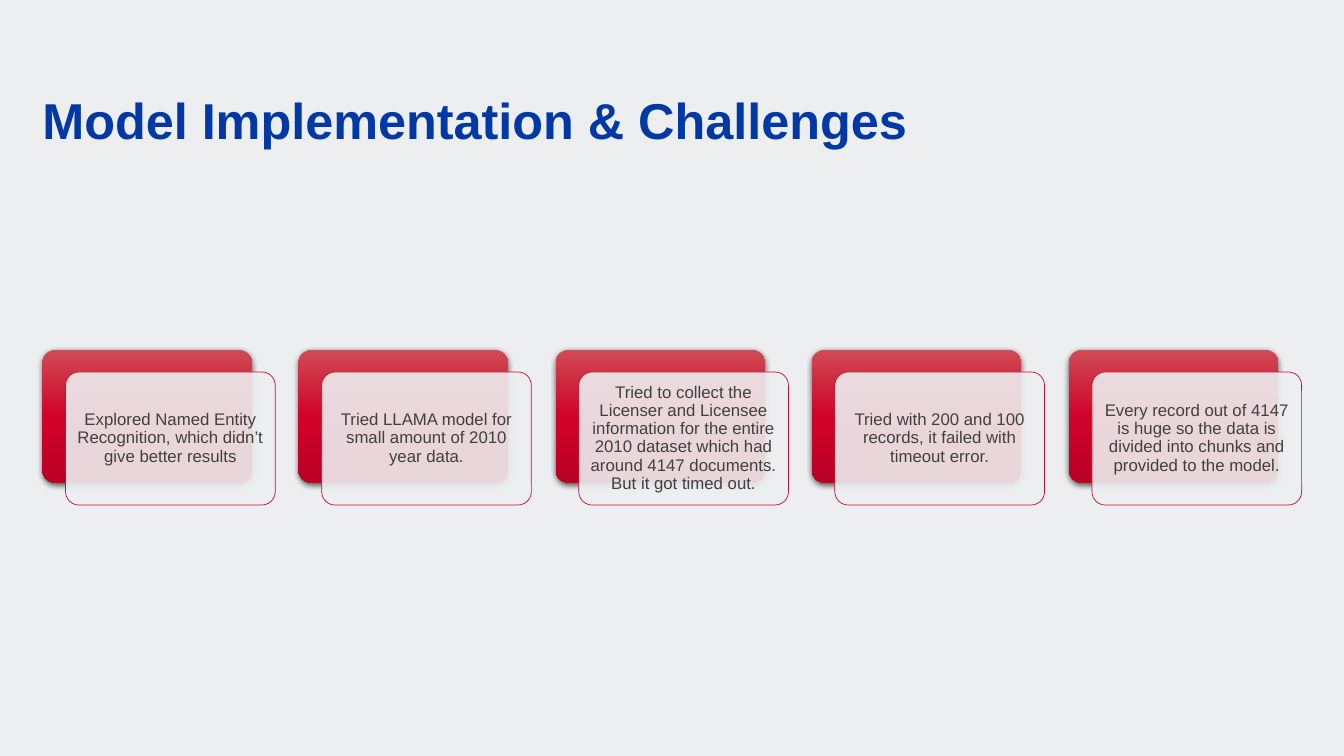
"""Build the slide on model implementation and its challenges."""
from dataclasses import dataclass

from lxml import etree
from pptx import Presentation
from pptx.dml.color import RGBColor
from pptx.enum import shapes, text
from pptx.oxml import ns
from pptx.util import Emu, Pt

PX = 9144


@dataclass(frozen=True)
class Theme:
    font: str = "Arial"
    paper: str = "EDEEEF"
    title: str = "0039A6"
    body: str = "404041"
    edge: str = "C60C30"
    shade: str = "000000"
    blend: tuple[tuple[int, str], ...] = (
        (0, "D04B55"), (50, "CF032A"), (100, "BB0024"))
    head_size: int = 36
    body_size: int = 12


@dataclass(frozen=True)
class Box:
    left: int
    top: int
    width: int
    height: int

    def shift(self, dx: int) -> "Box":
        return Box(self.left + dx, self.top, self.width, self.height)

    def emu(self) -> tuple[Emu, ...]:
        sides = (self.left, self.top, self.width, self.height)
        return tuple(Emu(side * PX) for side in sides)


THEME = Theme()
TITLE = Box(42, 94, 1250, 55)
BACK = Box(42, 347, 208, 132)
FRONT = Box(65, 369, 208, 132)
LABEL = Box(69, 373, 200, 124)
SPAN = 1018
NOTES = (
    "Explored Named Entity Recognition, which didn’t give better results",
    "Tried LLAMA model for small amount of 2010 year data.",
    "Tried to collect the Licenser and Licensee information for the entire "
    "2010 dataset which had around 4147 documents. But it got timed out.",
    "Tried with 200 and 100 records, it failed with timeout error.",
    "Every record out of 4147 is huge so the data is divided into chunks "
    "and provided to the model.",
)


def rgb(code: str) -> RGBColor:
    return RGBColor.from_string(code)


def add_tag(root, name: str, **attrs):
    return etree.SubElement(
        root, ns.qn(name), {key: str(val) for key, val in attrs.items()})


def write(frame, words: str, size: int, color: str, inset: int,
          anchor, align, bold: bool = False):
    frame.word_wrap = True
    frame.auto_size = text.MSO_AUTO_SIZE.NONE
    frame.vertical_anchor = anchor
    frame.margin_left = frame.margin_right = Emu(inset * PX)
    frame.margin_top = frame.margin_bottom = Emu(inset * PX)
    para = frame.paragraphs[0]
    para.alignment = align
    para.line_spacing = 0.9
    run = para.add_run()
    run.text = words
    run.font.name = THEME.font
    run.font.size = Pt(size)
    run.font.bold = bold
    run.font.color.rgb = rgb(color)
    return para


def add_round(group, box: Box):
    shape = group.shapes.add_shape(
        shapes.MSO_SHAPE.ROUNDED_RECTANGLE, *box.emu())
    shape.adjustments[0] = 0.1
    shape.shadow.inherit = False
    return shape


def add_back(group, box: Box) -> None:
    shape = add_round(group, box)
    shape.line.fill.background()
    shape.fill.gradient()
    shape.fill.gradient_angle = 270
    props = shape._element.spPr
    stops = props.find(".//" + ns.qn("a:gsLst"))
    stops.clear()
    for part, color in THEME.blend:
        stop = add_tag(stops, "a:gs", pos=part * 1000)
        add_tag(stop, "a:srgbClr", val=color)
    shade = add_tag(props.find(ns.qn("a:effectLst")), "a:outerShdw",
                    blurRad=Pt(4.5), dist=Pt(1.5), dir=5400000,
                    algn="ctr", rotWithShape=0)
    tint = add_tag(shade, "a:srgbClr", val=THEME.shade)
    add_tag(tint, "a:alpha", val=63000)


def add_front(group, box: Box) -> None:
    shape = add_round(group, box)
    shape.fill.solid()
    shape.fill.fore_color.rgb = rgb(THEME.paper)
    tint = shape._element.spPr.find(
        ns.qn("a:solidFill") + "/" + ns.qn("a:srgbClr"))
    add_tag(tint, "a:alpha", val=90000)
    shape.line.color.rgb = rgb(THEME.edge)
    shape.line.width = Pt(0.5)


def add_card(group, words: str, dx: int) -> None:
    add_back(group, BACK.shift(dx))
    add_front(group, FRONT.shift(dx))
    label = group.shapes.add_textbox(*LABEL.shift(dx).emu())
    para = write(label.text_frame, words, THEME.body_size, THEME.body, 5,
                 text.MSO_ANCHOR.MIDDLE, text.PP_ALIGN.CENTER)
    para.space_after = Pt(4.2)


def add_title(slide) -> None:
    title = slide.shapes.title
    title.left, title.top, title.width, title.height = TITLE.emu()
    write(title.text_frame, "Model Implementation & Challenges",
          THEME.head_size, THEME.title, 0,
          text.MSO_ANCHOR.BOTTOM, text.PP_ALIGN.LEFT, bold=True)


def main() -> None:
    deck = Presentation()
    deck.slide_width, deck.slide_height = Emu(1333 * PX), Emu(750 * PX)
    slide = deck.slides.add_slide(deck.slide_layouts.get_by_name("Title Only"))
    slide.background.fill.solid()
    slide.background.fill.fore_color.rgb = rgb(THEME.paper)
    add_title(slide)
    group = slide.shapes.add_group_shape()
    for rank, words in enumerate(NOTES):
        add_card(group, words, rank * SPAN // (len(NOTES) - 1))
    deck.save("out.pptx")


if __name__ == "__main__":
    main()
